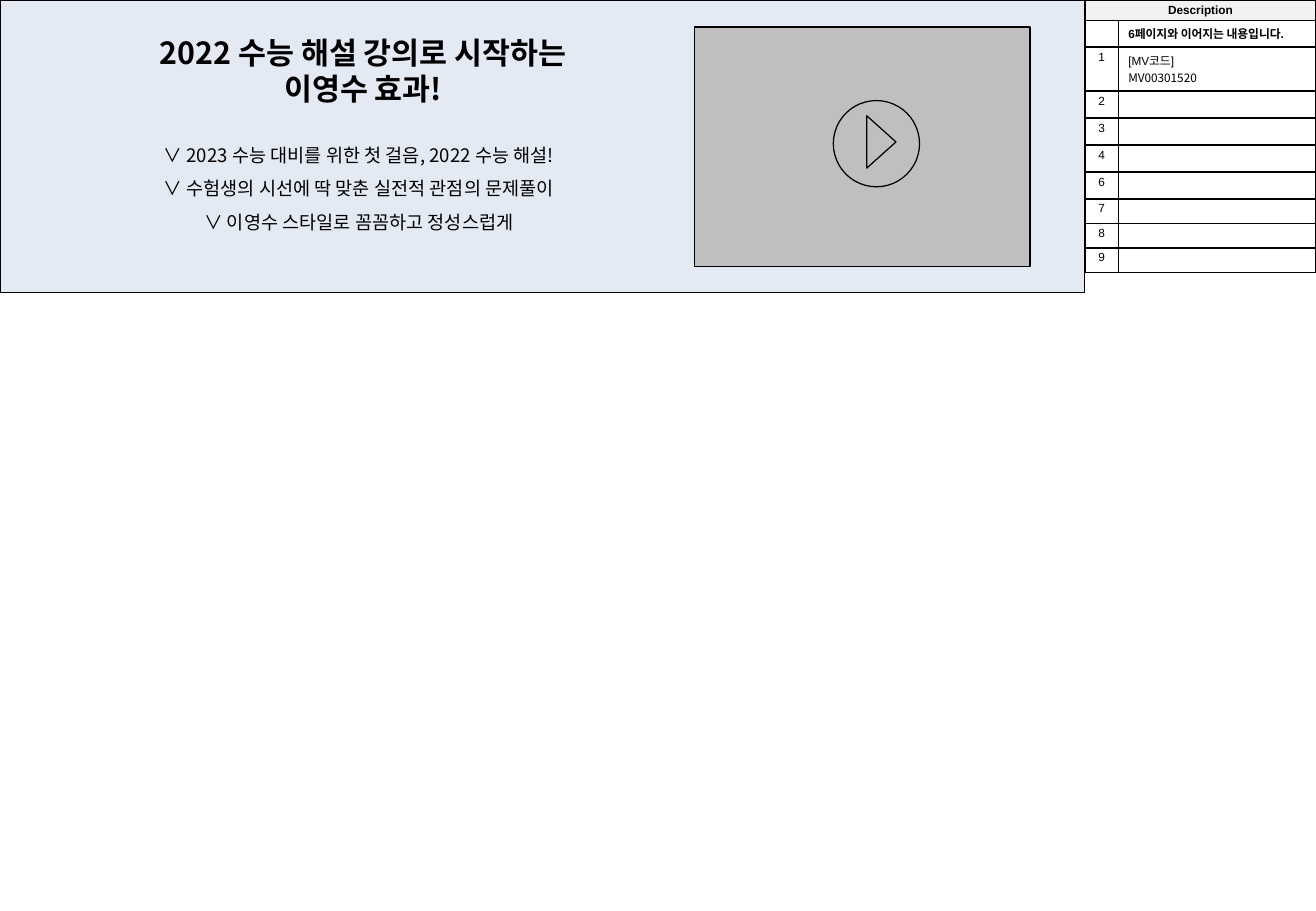
import pptx
import pptx.util
import pptx.dml.color
import pptx.enum.shapes
import pptx.enum.text
import pptx.oxml.ns
from lxml import etree

Pt = pptx.util.Pt
RGB = pptx.dml.color.RGBColor
SHAPE = pptx.enum.shapes.MSO_SHAPE
ALIGN = pptx.enum.text.PP_ALIGN
qn = pptx.oxml.ns.qn

BLACK = RGB(0x00, 0x00, 0x00)
WHITE = RGB(0xFF, 0xFF, 0xFF)
HEADER_GRAY = RGB(0xF2, 0xF2, 0xF2)
BANNER_BLUE = RGB(0xE4, 0xEA, 0xF4)
VIDEO_GRAY = RGB(0xBF, 0xBF, 0xBF)
ARIAL = "Arial"
NOTO = "Noto Sans CJK KR"

TITLE = "2022 수능 해설 강의로 시작하는\n이영수 효과!"
POINTS = (
    "∨ 2023 수능 대비를 위한 첫 걸음, 2022 수능 해설!\n"
    "∨ 수험생의 시선에 딱 맞춘 실전적 관점의 문제풀이\n"
    "∨ 이영수 스타일로 꼼꼼하고 정성스럽게"
)
# number, description, row height
ROWS = [
    ("Description", "", 12),
    ("", "6페이지와 이어지는 내용입니다.", 16),
    ("1", "[MV코드]\nMV00301520", 26),
    ("2", "", 16),
    ("3", "", 16),
    ("4", "", 16),
    ("6", "", 16),
    ("7", "", 14.5),
    ("8", "", 14.5),
    ("9", "", 14.5),
]
COLUMNS = (20, 117)
# preset, left, top, width, height, fill, rotation
SHAPES = [
    (SHAPE.RECTANGLE, 0, 0, 643, 173.5, BANNER_BLUE, 0),
    (SHAPE.RECTANGLE, 411.8, 16, 198.7, 142, VIDEO_GRAY, 0),
    (SHAPE.OVAL, 493.9, 59.6, 51.1, 51.1, None, 0),
    (SHAPE.ISOSCELES_TRIANGLE, 506.9, 75.5, 31, 17.3, None, 90),
]


def style(p, size, name, bold=False):
    for r in p.runs:
        r.font.size = Pt(size)
        r.font.bold = bold
        r.font.color.rgb = BLACK
        r.font.name = name
        etree.SubElement(r.font._element, qn("a:ea"), typeface=NOTO)
    if not p.runs:
        etree.SubElement(p._p, qn("a:endParaRPr"), sz=str(size * 100))


def add_borders(cell):
    tc_pr = cell._tc.get_or_add_tcPr()
    for side in ("lnL", "lnR", "lnT", "lnB"):
        ln = etree.SubElement(tc_pr, qn("a:" + side), w=str(Pt(1)))
        fill = etree.SubElement(ln, qn("a:solidFill"))
        etree.SubElement(fill, qn("a:srgbClr"), val=str(BLACK))


def add_description(s):
    height = sum(row[2] for row in ROWS)
    table = s.shapes.add_table(len(ROWS), 2, Pt(643), 0,
                               Pt(sum(COLUMNS)), Pt(height)).table
    table.first_row = table.horz_banding = False
    for column, width in zip(table.columns, COLUMNS):
        column.width = Pt(width)
    for i, (number, description, height) in enumerate(ROWS):
        table.rows[i].height = Pt(height)
        for j, text in enumerate((number, description)):
            cell = table.cell(i, j)
            add_borders(cell)
            cell.fill.solid()
            cell.fill.fore_color.rgb = WHITE if i else HEADER_GRAY
            cell.margin_left = cell.margin_right = Pt((5, 5.8)[j])
            cell.margin_top = cell.margin_bottom = Pt((2, 2.9)[j])
            cell.text_frame.text = text
            for k, p in enumerate(cell.text_frame.paragraphs):
                p.alignment = ALIGN.LEFT if j else ALIGN.CENTER
                style(p, 7, NOTO if k else ARIAL, bold=i < 2)
    table.cell(0, 0).merge(table.cell(0, 1))


def fill_placeholder(sp, text, box, size, spacing, bold=False):
    sp.left, sp.top, sp.width, sp.height = map(Pt, box)
    tf = sp.text_frame
    tf.text = text
    tf.word_wrap = True
    tf.auto_size = pptx.enum.text.MSO_AUTO_SIZE.NONE
    tf.vertical_anchor = pptx.enum.text.MSO_ANCHOR.TOP
    for p in tf.paragraphs:
        p.alignment = ALIGN.CENTER
        p.line_spacing = Pt(spacing)
        p.space_before = p.space_after = Pt(0)
        p_pr = p._p.get_or_add_pPr()
        p_pr.set("marL", "0")
        p_pr.set("indent", "0")
        etree.SubElement(p_pr, qn("a:buNone"))
        style(p, size, NOTO, bold)


def main():
    prs = pptx.Presentation()
    prs.slide_width, prs.slide_height = Pt(780), Pt(540)
    s = prs.slides.add_slide(prs.slide_layouts[1])
    title, points = s.placeholders

    add_description(s)
    for preset, left, top, width, height, color, rotation in SHAPES:
        sp = s.shapes.add_shape(preset, Pt(left), Pt(top), Pt(width), Pt(height))
        sp.shadow.inherit = False
        sp.rotation = rotation
        sp.line.color.rgb = BLACK
        sp.line.width = Pt(0.75)
        if color is None:
            sp.fill.background()
        else:
            sp.fill.solid()
            sp.fill.fore_color.rgb = color

    fill_placeholder(title, TITLE, (28, 16.5, 374.5, 51), 18, 21.6, bold=True)
    fill_placeholder(points, POINTS, (36, 75, 353.5, 65), 11, 19.8)
    for sp in (title, points):  # bring the text in front of the banner
        s.shapes._spTree.append(sp._element)

    prs.save("out.pptx")


if __name__ == "__main__":
    main()
